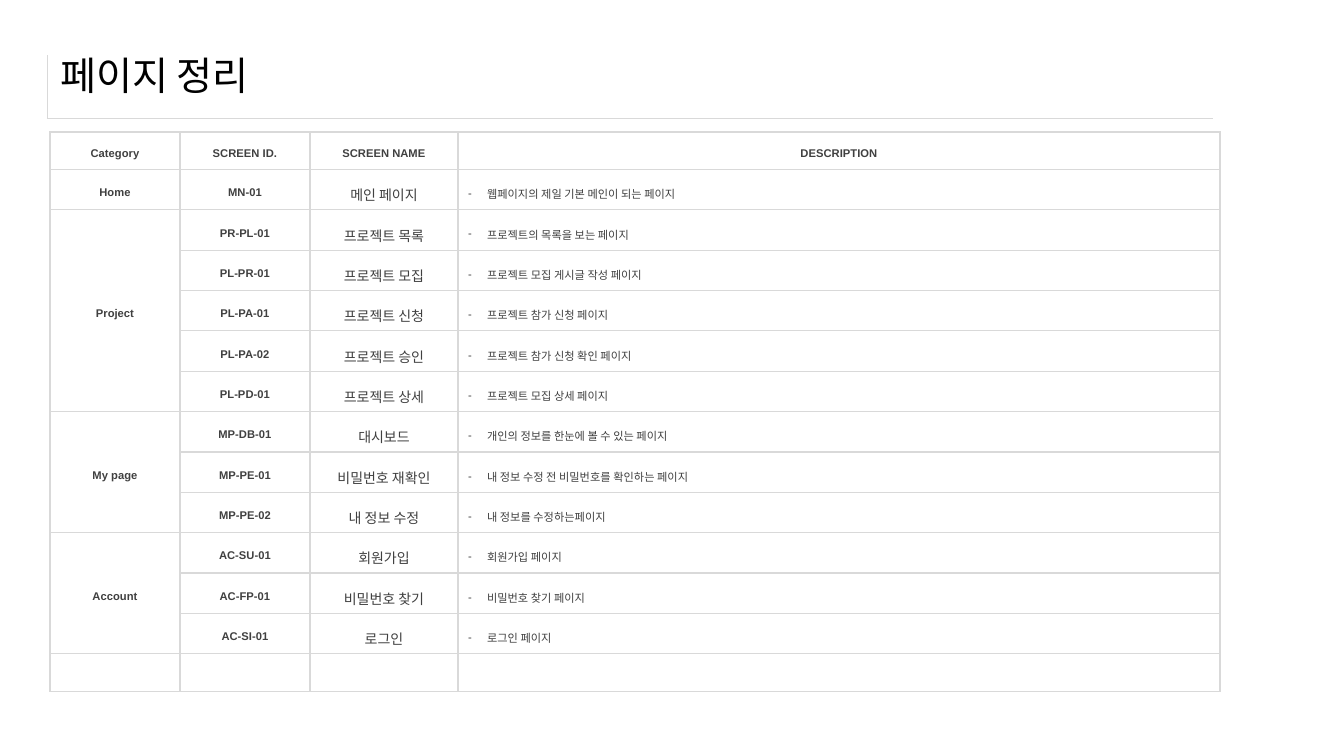
"""Build the page summary slide: a ruled title above a table of screens."""
from dataclasses import dataclass

from lxml import etree
from pptx import Presentation
from pptx.dml.color import RGBColor
from pptx.enum.text import MSO_ANCHOR, PP_ALIGN
from pptx.oxml.ns import qn
from pptx.util import Emu, Pt

LEFT, CENTER = PP_ALIGN.LEFT, PP_ALIGN.CENTER
MIDDLE = MSO_ANCHOR.MIDDLE
SCALE = 914400 / 100.8


def px(n):
    """Turn slide pixels into EMU."""
    return Emu(round(n * SCALE))


@dataclass(frozen=True)
class Theme:
    """Colours, fonts and type sizes of the slide."""
    black: str = "000000"
    text: str = "404040"
    rule: str = "D9D9D9"
    latin: str = "Arial"
    name_font: str = "Roboto"
    korean: str = "Noto Sans CJK KR"
    title: int = 28
    name: int = 10
    small: int = 8


class Deck:
    """Holds the theme and the current slide."""

    def __init__(self, prs, theme):
        """Add a title-only slide to the presentation."""
        self.t = theme
        self.s = prs.slides.add_slide(prs.slide_layouts[5])

    def run(self, p, text, size, font, color, bold=False):
        """Add one formatted run to a paragraph."""
        r = p.add_run()
        r.text = text
        r.font.size, r.font.name, r.font.bold = Pt(size), font, bold
        r.font.color.rgb = RGBColor.from_string(color)
        ea = etree.SubElement(r.font._element, qn("a:ea"))
        ea.set("typeface", self.t.korean)

    def title(self, text, x, y, w, h):
        """Place and fill the title placeholder."""
        sp = self.s.shapes.title
        sp.left, sp.top, sp.width, sp.height = map(px, (x, y, w, h))
        tf = sp.text_frame
        tf.vertical_anchor = MIDDLE
        p = tf.paragraphs[0]
        p.alignment = LEFT
        self.run(p, text, self.t.title, self.t.korean, self.t.black)

    def table(self, rows, cols, x, y, w, h, sides="LRTB", weight=1):
        """Add an unfilled table ruled on the given cell sides."""
        frame = self.s.shapes.add_table(rows, cols, *map(px, (x, y, w, h)))
        tbl = frame.table
        tbl.first_row = tbl.horz_banding = False
        for cell in tbl.iter_cells():
            self.borders(cell, sides, weight)
            cell.fill.background()
            cell.vertical_anchor = MIDDLE
            end = etree.SubElement(cell.text_frame.paragraphs[0]._p, qn("a:endParaRPr"))
            end.set("sz", str(self.t.small * 100))
        return tbl

    def borders(self, cell, sides, weight):
        """Rule the given sides of a cell and clear the others."""
        tc_pr = cell._tc.get_or_add_tcPr()
        for side in "LRTB":
            ln = etree.SubElement(tc_pr, qn(f"a:ln{side}"), w=str(Pt(weight)))
            if side in sides:
                fill = etree.SubElement(ln, qn("a:solidFill"))
                etree.SubElement(fill, qn("a:srgbClr"), val=self.t.rule)
            else:
                etree.SubElement(ln, qn("a:noFill"))

    def label(self, cell, text, size, font, bold):
        """Write centred text in a cell."""
        p = cell.text_frame.paragraphs[0]
        p.alignment, p.line_spacing = CENTER, 1.5
        self.run(p, text, size, font, self.t.text, bold)

    def dash(self, cell, text):
        """Write a dash-bulleted line in a cell."""
        p = cell.text_frame.paragraphs[0]
        p.alignment, p.line_spacing = LEFT, 1.5
        p_pr = p._p.get_or_add_pPr()
        p_pr.set("marL", str(px(19)))
        p_pr.set("indent", str(-px(19)))
        etree.SubElement(p_pr, qn("a:buFont"), typeface=self.t.latin)
        etree.SubElement(p_pr, qn("a:buChar"), char="-")
        self.run(p, text, self.t.small, self.t.name_font, self.t.text)


HEADERS = ["Category", "SCREEN ID.", "SCREEN NAME", "DESCRIPTION"]
COLUMN_WIDTHS = [130, 130, 148, 762]
SCREENS = {
    "Home": [("MN-01", "메인 페이지", "웹페이지의 제일 기본 메인이 되는 페이지")],
    "Project": [
        ("PR-PL-01", "프로젝트 목록", "프로젝트의 목록을 보는 페이지"),
        ("PL-PR-01", "프로젝트 모집", "프로젝트 모집 게시글 작성 페이지"),
        ("PL-PA-01", "프로젝트 신청", "프로젝트 참가 신청 페이지"),
        ("PL-PA-02", "프로젝트 승인", "프로젝트 참가 신청 확인 페이지"),
        ("PL-PD-01", "프로젝트 상세", "프로젝트 모집 상세 페이지"),
    ],
    "My page": [
        ("MP-DB-01", "대시보드", "개인의 정보를 한눈에 볼 수 있는 페이지"),
        ("MP-PE-01", "비밀번호 재확인", "내 정보 수정 전 비밀번호를 확인하는 페이지"),
        ("MP-PE-02", "내 정보 수정", "내 정보를 수정하는페이지"),
    ],
    "Account": [
        ("AC-SU-01", "회원가입", "회원가입 페이지"),
        ("AC-FP-01", "비밀번호 찾기", "비밀번호 찾기 페이지"),
        ("AC-SI-01", "로그인", "로그인 페이지"),
    ],
}


def main():
    """Build and save the slide."""
    prs = Presentation()
    prs.slide_width, prs.slide_height = px(1344), px(756)
    t = Theme()
    deck = Deck(prs, t)
    deck.table(1, 1, 47, 55, 1166, 63, sides="LB", weight=0.25)
    deck.title("페이지 정리", 50, 41, 1259, 68)

    row_count = 2 + sum(map(len, SCREENS.values()))
    tbl = deck.table(row_count, len(HEADERS), 50, 132, sum(COLUMN_WIDTHS), 525)
    for col, width in zip(tbl.columns, COLUMN_WIDTHS):
        col.width = px(width)
    strong = (t.small, t.latin, True)
    for c, header in enumerate(HEADERS):
        deck.label(tbl.cell(0, c), header, *strong)
    row = 1
    for category, screens in SCREENS.items():
        first = tbl.cell(row, 0)
        if len(screens) > 1:
            first.merge(tbl.cell(row + len(screens) - 1, 0))
        deck.label(first, category, *strong)
        for row, (screen_id, name, description) in enumerate(screens, row):
            deck.label(tbl.cell(row, 1), screen_id, *strong)
            deck.label(tbl.cell(row, 2), name, t.name, t.name_font, False)
            deck.dash(tbl.cell(row, 3), description)
        row += 1
    prs.save("out.pptx")


main()
